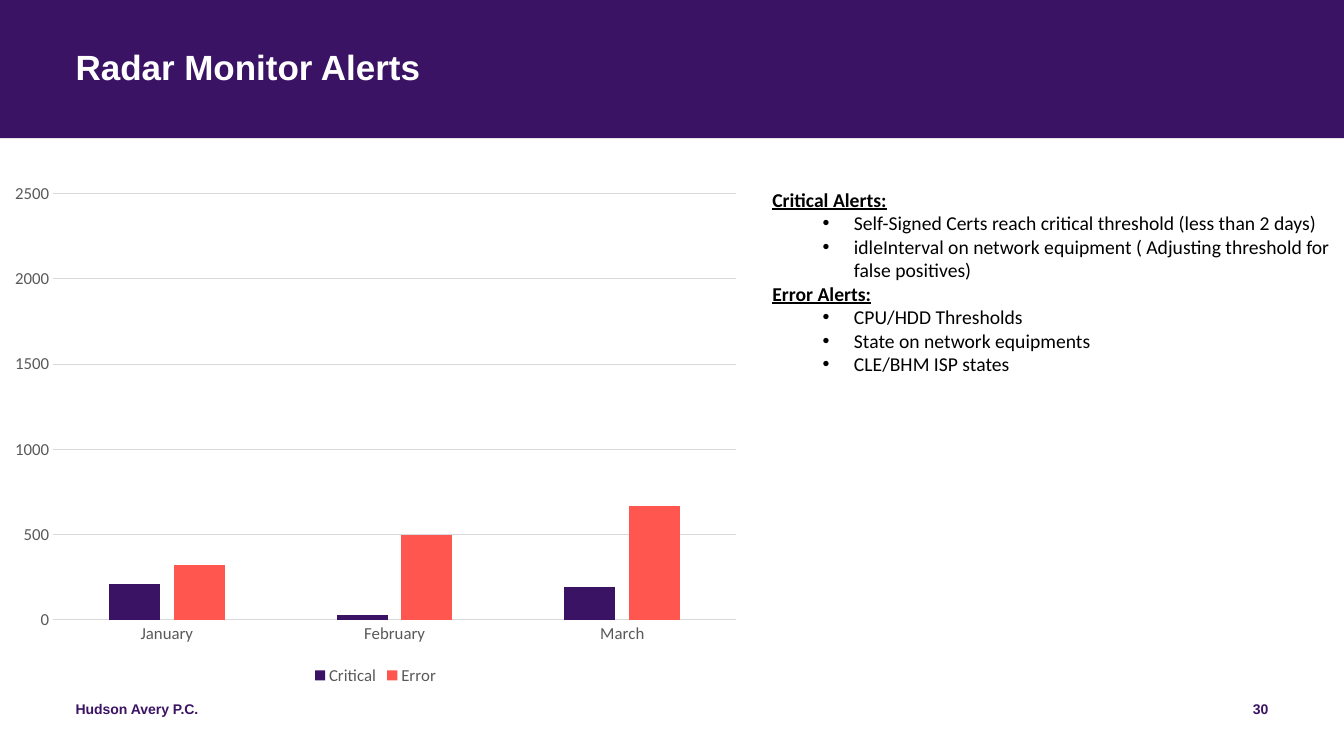
import pptx
import pptx.chart.data
import pptx.dml.color
import pptx.enum.chart
import pptx.enum.shapes
import pptx.enum.text
import pptx.oxml
import pptx.util
from lxml import etree
from pptx.util import Inches, Pt

TITLE = "Radar Monitor Alerts"
FOOTER = "Hudson Avery P.C."
PAGE_NUMBER = "30"
MONTHS = ["January", "February", "March"]
SERIES = [
    ("Critical", [210, 30, 190], "3B1365"),
    ("Error", [320, 500, 670], "FF5750"),
]
ALERT_NOTES = [
    ("Critical Alerts:", [
        "Self-Signed Certs reach critical threshold (less than 2 days)",
        "idleInterval on network equipment ( Adjusting threshold for false positives)",
    ]),
    ("Error Alerts:", [
        "CPU/HDD Thresholds",
        "State on network equipments",
        "CLE/BHM ISP states",
    ]),
]
PURPLE, WHITE, BLACK = "3B1365", "FFFFFF", "000000"
GREY, GRID = "595959", "D9D9D9"
DRAWING = "{http://schemas.openxmlformats.org/drawingml/2006/main}"
ALIGN = pptx.enum.text.PP_ALIGN


def color(hex_string):
    return pptx.dml.color.RGBColor.from_string(hex_string)


def style_font(font, name, size, hex_string, bold=False):
    font.name, font.size, font.bold = name, Pt(size), bold
    font.color.rgb = color(hex_string)


def place(shape, left, top, width, height):
    shape.left, shape.top = Inches(left), Inches(top)
    shape.width, shape.height = Inches(width), Inches(height)


def set_plain_frame(text_frame):
    """Top-anchored, wrapping text without margins."""
    text_frame.margin_left = text_frame.margin_right = 0
    text_frame.margin_top = text_frame.margin_bottom = 0
    text_frame.word_wrap = True
    text_frame.auto_size = pptx.enum.text.MSO_AUTO_SIZE.NONE
    text_frame.vertical_anchor = pptx.enum.text.MSO_ANCHOR.TOP


def add_band(slide, width):
    band = slide.shapes.add_shape(
        pptx.enum.shapes.MSO_SHAPE.RECTANGLE, 0, 0, width, Inches(1.37))
    band.shadow.inherit = False
    band.fill.solid()
    band.fill.fore_color.rgb = color(PURPLE)
    band.line.fill.background()
    slide.shapes._spTree.insert(2, band._element)


def set_title(slide):
    title = slide.shapes.title
    place(title, 0.75, 0.5, 11.83, 0.81)
    title.text_frame.text = TITLE
    set_plain_frame(title.text_frame)
    paragraph = title.text_frame.paragraphs[0]
    paragraph.alignment = ALIGN.LEFT
    paragraph.line_spacing = 0.9
    style_font(paragraph.runs[0].font, "Arial", 25, WHITE, True)


def add_footer_text(slide, text, left, width, alignment):
    box = slide.shapes.add_textbox(
        Inches(left), Inches(6.95), Inches(width), Inches(0.4))
    box.text_frame.text = text
    set_plain_frame(box.text_frame)
    paragraph = box.text_frame.paragraphs[0]
    paragraph.alignment = alignment
    style_font(paragraph.runs[0].font, "Arial", 10, PURPLE, True)


def set_bullet(paragraph, character=None):
    properties = paragraph._p.get_or_add_pPr()
    indent = -0.31 if character else 0
    properties.set("marL", str(Inches(0.81 if character else 0)))
    properties.set("indent", str(Inches(indent)))
    if character:
        etree.SubElement(properties, DRAWING + "buFont").set("typeface", "Arial")
        etree.SubElement(properties, DRAWING + "buChar").set("char", character)
    else:
        etree.SubElement(properties, DRAWING + "buNone")


def fill_notes(body):
    place(body, 7.56, 1.81, 5.77, 3.08)
    text_frame = body.text_frame
    text_frame.auto_size = pptx.enum.text.MSO_AUTO_SIZE.NONE
    text_frame.vertical_anchor = pptx.enum.text.MSO_ANCHOR.TOP
    lines = [(text, level) for heading, items in ALERT_NOTES
             for text, level in [(heading, 0)] + [(item, 1) for item in items]]
    text_frame.text = "\n".join(text for text, _ in lines)
    for paragraph, (_, level) in zip(text_frame.paragraphs, lines):
        paragraph.level = level
        set_bullet(paragraph, "•" if level else None)
        paragraph.space_before = Pt(0)
        font = paragraph.runs[0].font
        style_font(font, "Calibri", 14, BLACK, level == 0)
        font.underline = level == 0


def add_alert_chart(slide):
    data = pptx.chart.data.CategoryChartData()
    data.categories = MONTHS
    for name, values, _ in SERIES:
        data.add_series(name, values)
    chart = slide.shapes.add_chart(
        pptx.enum.chart.XL_CHART_TYPE.COLUMN_CLUSTERED,
        0, Inches(1.72), Inches(7.45), Inches(5.12), data).chart
    style_font(chart.font, "Calibri", 10, BLACK)
    chart.has_title = False

    plot = chart.plots[0]
    plot.vary_by_categories = False
    plot.gap_width, plot.overlap = 219, -27
    for series, (_, _, fill) in zip(plot.series, SERIES):
        series.format.fill.solid()
        series.format.fill.fore_color.rgb = color(fill)

    chart.has_legend = True
    chart.legend.position = pptx.enum.chart.XL_LEGEND_POSITION.BOTTOM
    chart.legend.include_in_layout = False
    style_font(chart.legend.font, "Calibri", 12, GREY)

    months, counts = chart.category_axis, chart.value_axis
    for axis in (months, counts):
        axis.major_tick_mark = pptx.enum.chart.XL_TICK_MARK.NONE
        axis.minor_tick_mark = pptx.enum.chart.XL_TICK_MARK.NONE
        style_font(axis.tick_labels.font, "Calibri", 12, GREY)
    counts.minimum_scale, counts.maximum_scale, counts.major_unit = 0, 2500, 500
    counts.has_major_gridlines = True
    counts.format.line.fill.background()
    for line in (months.format.line, counts.major_gridlines.format.line):
        line.color.rgb = color(GRID)
        line.width = Pt(0.75)


def main():
    presentation = pptx.Presentation()
    presentation.slide_width = Inches(13.33)
    presentation.slide_height = Inches(7.5)
    slide = presentation.slides.add_slide(presentation.slide_layouts[1])
    add_band(slide, presentation.slide_width)
    set_title(slide)
    fill_notes(slide.placeholders[1])
    add_alert_chart(slide)
    add_footer_text(slide, FOOTER, 0.75, 4.5, ALIGN.LEFT)
    add_footer_text(slide, PAGE_NUMBER, 9.58, 3, ALIGN.RIGHT)
    presentation.save("out.pptx")


if __name__ == "__main__":
    main()
